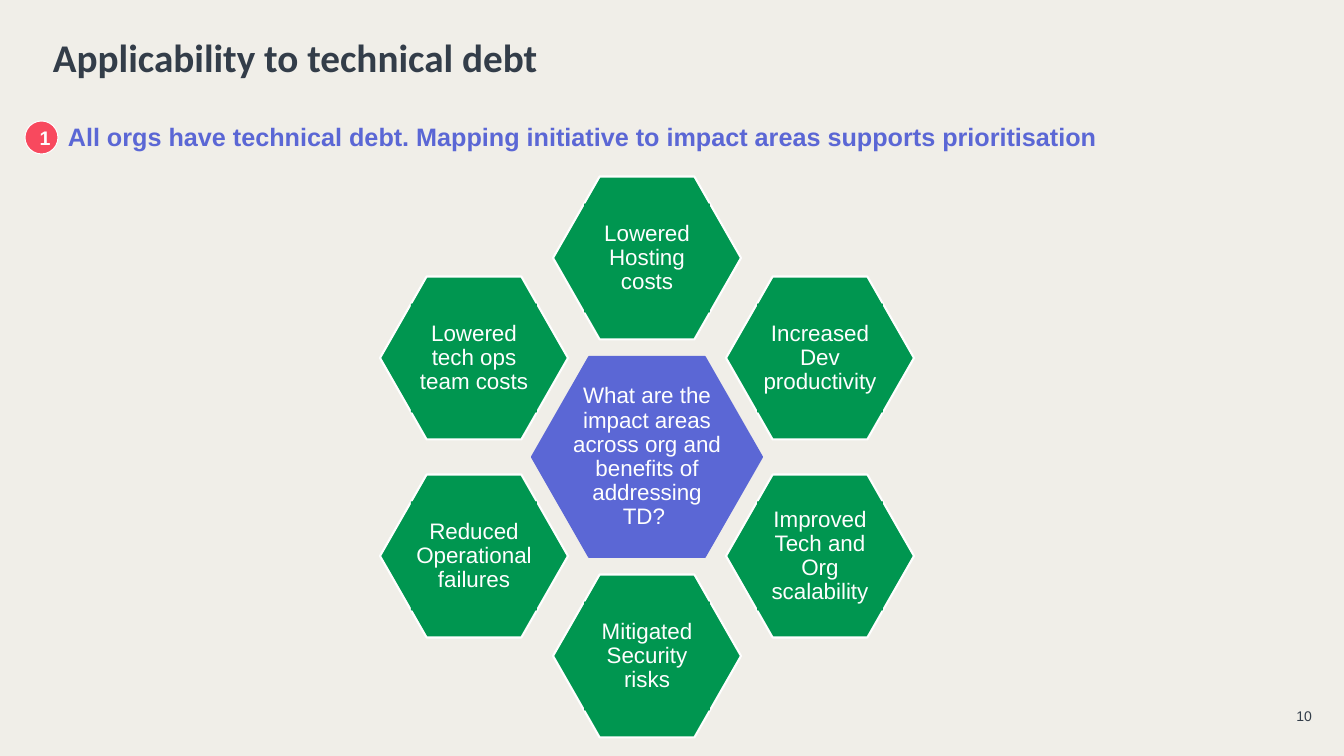
from pptx import Presentation
from pptx.dml.color import RGBColor
from pptx.enum.shapes import MSO_SHAPE as Shape
from pptx.enum.text import MSO_ANCHOR as Anchor, PP_ALIGN as Align
from pptx.util import Pt

PX = 9144000 * 2 // 2016 + 1 / 3
INK, INDIGO, GREEN, RED, WHITE = "333D49", "5B67D5", "009650", "F8495E", "FEFEFE"

deck = Presentation()
deck.slide_width, deck.slide_height = round(1344 * PX), round(756 * PX)
slide = deck.slides.add_slide(deck.slide_layouts[6])
slide.background.fill.solid()
slide.background.fill.fore_color.rgb = RGBColor.from_string("F0EEE8")


def add_part(kind, box, fill=None, line=None, weight=1.5):
    frame = [round(length * PX) for length in box]
    if kind is None:
        return slide.shapes.add_textbox(*frame)
    part = slide.shapes.add_shape(kind, *frame)
    part.shadow.inherit = False
    part.fill.solid()
    part.fill.fore_color.rgb = RGBColor.from_string(fill)
    if line:
        part.line.color.rgb = RGBColor.from_string(line)
        part.line.width = Pt(weight)
    else:
        part.line.fill.background()
    return part


def write(part, words, size, color, bold=False, font="Arial", align=Align.LEFT,
          anchor=Anchor.MIDDLE, inset=None, spacing=None, wrap=True):
    frame = part.text_frame
    frame.word_wrap = wrap
    frame.vertical_anchor = anchor
    if inset is not None:
        frame.margin_left = frame.margin_right = round(inset * PX)
        frame.margin_top = frame.margin_bottom = round(inset * PX)
    paragraph = frame.paragraphs[0]
    paragraph.alignment = align
    paragraph.line_spacing = spacing
    run = paragraph.add_run()
    run.text = words
    run.font.name, run.font.size, run.font.bold = font, Pt(size), bold
    run.font.color.rgb = RGBColor.from_string(color)


title = add_part(None, (53, 1, 1190, 109))
write(title, "Applicability to technical debt", 28, INK, bold=True,
      font="Calibri", inset=0, spacing=1.05)

page_number = add_part(None, (1275, 701, 37, 23))
write(page_number, "10", 10, INK, align=Align.RIGHT, anchor=Anchor.BOTTOM,
      inset=0, wrap=False)

question = "What are the impact areas across org and benefits of addressing TD? "
areas = [
    (0, -199, "Lowered Hosting costs"),
    (173, -99, "Increased Dev productivity"),
    (173, 99, "Improved Tech and Org scalability"),
    (0, 199, "Mitigated Security risks"),
    (-173, 99, "Reduced Operational failures"),
    (-173, -99, "Lowered tech ops team costs"),
]
hub, petal = ((230, 200), (154, 133)), ((188, 163), (126, 109))
cells = [(0, 0, question, hub, INDIGO, INDIGO)]
cells += [(*area, petal, GREEN, WHITE) for area in areas]

for dx, dy, words, (outer, inner), fill, border in cells:
    outer_box, label_box = [(647 + dx - width / 2, 457 + dy - height / 2, width, height)
                            for width, height in (outer, inner)]
    hexagon = add_part(Shape.HEXAGON, outer_box, fill, border)
    hexagon.adjustments[0] = 0.286
    label = add_part(Shape.RECTANGLE, label_box, fill)
    write(label, words, 16, WHITE, align=Align.CENTER, inset=2, spacing=0.9)

badge = add_part(Shape.OVAL, (25, 121, 33, 33), RED, WHITE, 0.75)
write(badge, "1", 14, WHITE, bold=True, align=Align.CENTER)

headline = add_part(None, (58, 116, 1217, 40))
write(headline, "All orgs have technical debt. Mapping initiative to impact areas "
      "supports prioritisation", 18, INDIGO, bold=True, anchor=Anchor.TOP)

deck.save("out.pptx")
